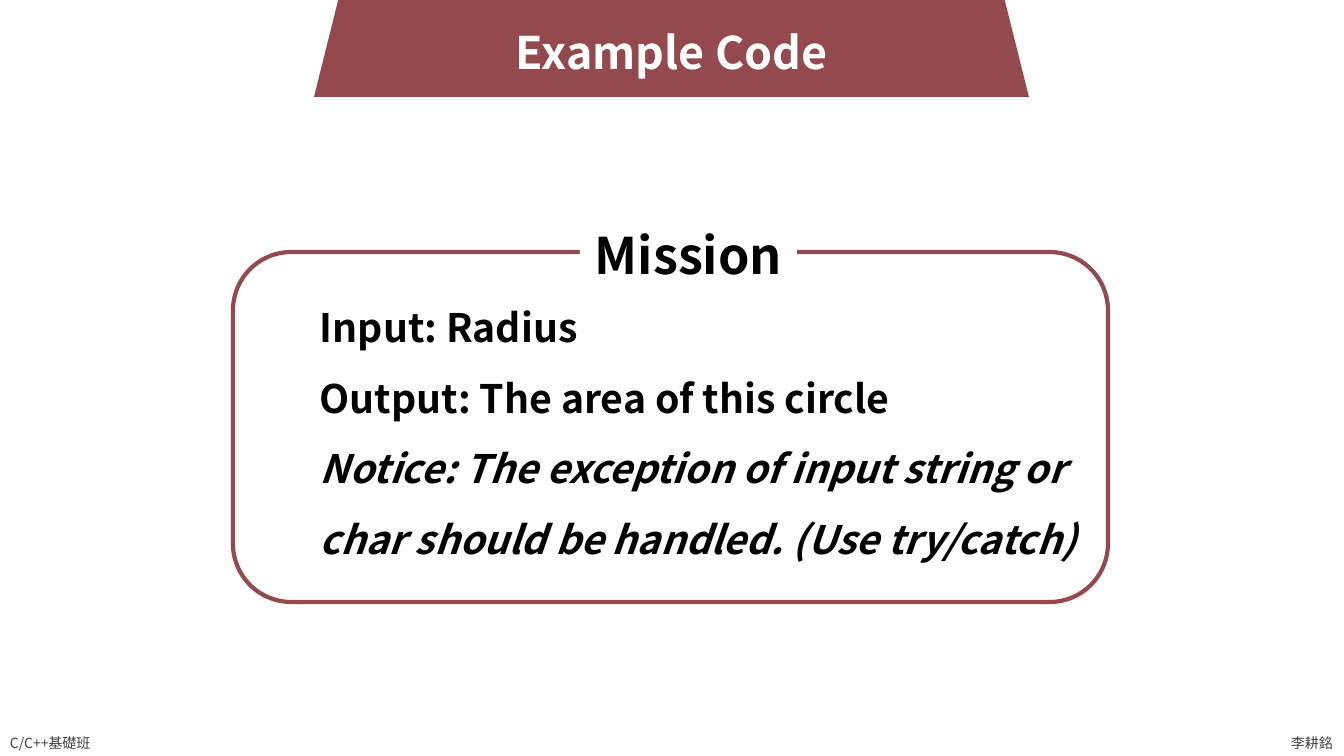
from pptx import Presentation
from pptx.dml.color import RGBColor
from pptx.enum.shapes import MSO_SHAPE
from pptx.enum.text import MSO_ANCHOR, PP_ALIGN
from pptx.oxml.ns import qn
from pptx.util import Emu, Pt
from lxml.etree import SubElement

PX = 9071  # EMU in one px
THEME = {
    "font": "Noto Sans CJK TC",
    "red": RGBColor(0x94, 0x49, 0x4E),
    "white": RGBColor(0xFF, 0xFF, 0xFF),
    "black": RGBColor(0, 0, 0),
    "grey": RGBColor(0x40, 0x40, 0x40),
    "title": Pt(32),
    "label": Pt(36),
    "body": Pt(28),
    "foot": Pt(10),
    "line": Pt(3),
}

deck = Presentation()
deck.slide_width, deck.slide_height = Emu(1344 * PX), Emu(756 * PX)
slide = deck.slides.add_slide(deck.slide_layouts[6])


def add(rect, kind=None, fill=None, line=None):
    """Add a preset shape, or a text box when no kind is given."""
    place = [Emu(n * PX) for n in rect]
    if kind is None:
        return slide.shapes.add_textbox(*place)
    shape = slide.shapes.add_shape(kind, *place)
    shape.shadow.inherit = False
    if fill is None:
        shape.fill.background()
    else:
        shape.fill.solid()
        shape.fill.fore_color.rgb = THEME[fill]
    if line is None:
        shape.line.fill.background()
    else:
        shape.line.color.rgb = THEME[line]
        shape.line.width = THEME["line"]
    return shape


def write(shape, text, size, color, bold=True, wrap=False):
    """Set the text and format every run; return the paragraphs."""
    frame = shape.text_frame
    frame.word_wrap = wrap
    frame.text = text
    for para in frame.paragraphs:
        for run in para.runs:
            font = run.font
            font.name, font.size, font.bold = THEME["font"], THEME[size], bold
            font.color.rgb = THEME[color]
            east = SubElement(font._element, qn("a:ea"))
            east.set("typeface", THEME["font"])
    return frame.paragraphs


# Footer
for text, left, width in [("C/C++基礎班", 0, 108), ("李耕銘", 1281, 63)]:
    foot = add((left, 729, width, 27))
    foot.text_frame.vertical_anchor = MSO_ANCHOR.MIDDLE
    write(foot, text, "foot", "grey", bold=False)

# Title banner
add((314, -26, 715, 123), MSO_SHAPE.TRAPEZOID, fill="red")
write(add((506, 20, 332, 65)), "Example Code", "title", "white")

# Mission frame and its label
add((233, 252, 875, 350), MSO_SHAPE.ROUNDED_RECTANGLE, line="red")
label = add((580, 218, 217, 72), MSO_SHAPE.RECTANGLE, fill="white")
write(label, "Mission", "label", "black", wrap=True)[0].alignment = PP_ALIGN.CENTER

# Mission text
lines = [
    "Input: Radius",
    "Output: The area of this circle",
    "Notice: The exception of input string or char should be handled. (Use try/catch)",
]
body = add((310, 275, 782, 295))
paras = write(body, "\n".join(lines), "body", "black", wrap=True)
for para in paras:
    para.line_spacing = 1.5
paras[-1].runs[0].font.italic = True

deck.save("out.pptx")
